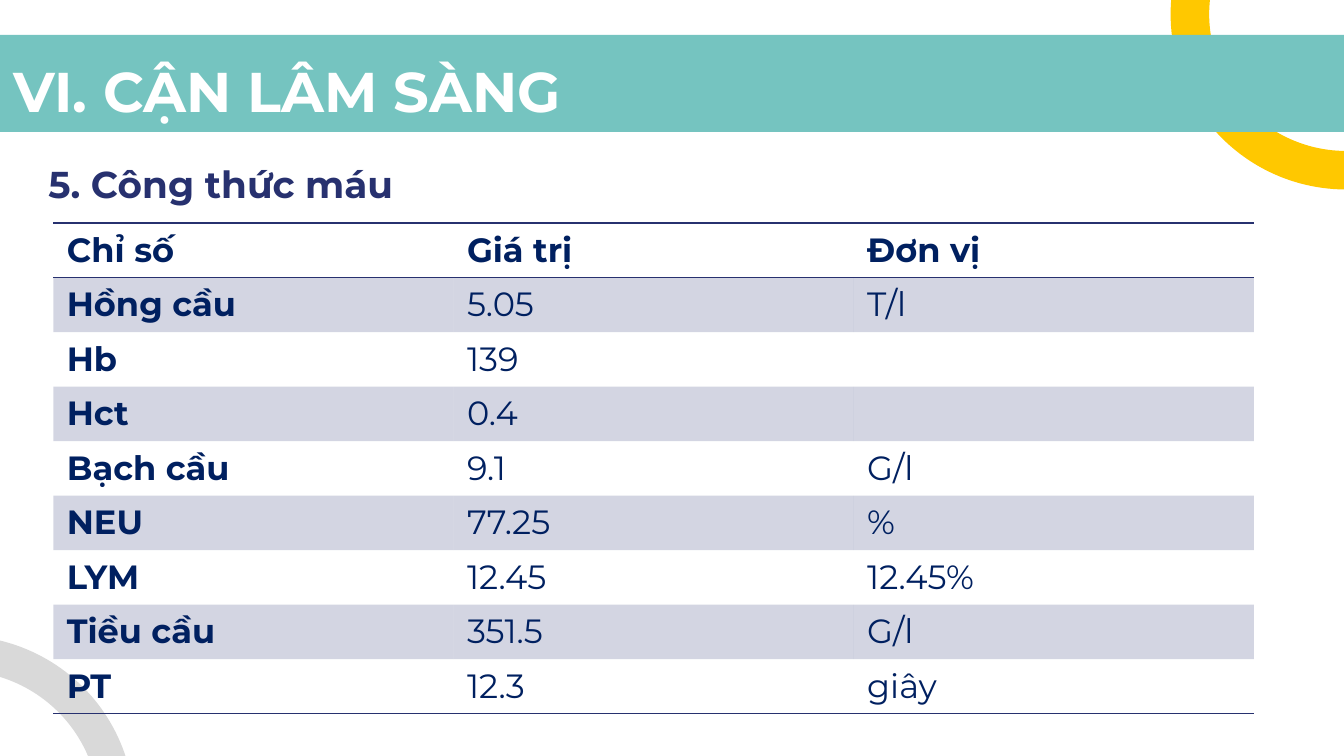
"""Build a slide with a blood count table under a banner title."""
from dataclasses import dataclass

from lxml.etree import SubElement
from pptx import Presentation
from pptx.dml.color import RGBColor
from pptx.enum.shapes import MSO_SHAPE as Preset
from pptx.enum.text import MSO_ANCHOR as Anchor, MSO_AUTO_SIZE as AutoSize, PP_ALIGN as Align
from pptx.oxml.ns import qn
from pptx.util import Pt

WHITE = RGBColor(0xFF, 0xFF, 0xFF)
TEAL = RGBColor(0x75, 0xC4, 0xC0)
YELLOW = RGBColor(0xFF, 0xC8, 0x00)
GRAY = RGBColor(0xD9, 0xD9, 0xD9)
INDIGO = RGBColor(0x27, 0x31, 0x6F)
NAVY = RGBColor(0x00, 0x20, 0x60)
FONT = "Montserrat"
PLAIN_TABLE_STYLE = "{2D5ABB26-0587-4C30-8999-92F81FD0307C}"
ROW_HEIGHT = 29.2
COLUMN_WIDTH = 214.4


@dataclass(frozen=True)
class Box:
    left: float
    top: float
    width: float
    height: float

    def lengths(self) -> tuple:
        return Pt(self.left), Pt(self.top), Pt(self.width), Pt(self.height)


@dataclass(frozen=True)
class Decoration:
    preset: Preset
    box: Box
    color: RGBColor
    rotation: float = 0
    adjustments: tuple = ()


@dataclass(frozen=True)
class Reading:
    name: str
    value: str
    unit: str = ""

    def texts(self) -> tuple:
        return self.name, self.value, self.unit


DECORATIONS = (
    Decoration(Preset.BLOCK_ARC, Box(627.1, -86.4, 187.9, 187.9), YELLOW, 270, (108.21, 165.56, 0.11)),
    Decoration(Preset.RECTANGLE, Box(-12.2, 18.7, 744.5, 51.9), TEAL),
    Decoration(Preset.BLOCK_ARC, Box(-115.9, 340.6, 187.9, 187.9), GRAY, 345, (175.07, 215.56, 0.1)),
)

READINGS = (
    Reading("Chỉ số", "Giá trị", "Đơn vị"),
    Reading("Hồng cầu", "5.05", "T/l"),
    Reading("Hb", "139"),
    Reading("Hct", "0.4"),
    Reading("Bạch cầu", "9.1", "G/l"),
    Reading("NEU", "77.25", "%"),
    Reading("LYM", "12.45", "12.45%"),
    Reading("Tiều cầu", "351.5", "G/l"),
    Reading("PT", "12.3", "giây"),
)


def write_text(frame, text: str, *, size: float, color: RGBColor, bold: bool = True) -> None:
    run = frame.paragraphs[0].add_run()
    run.text = text
    run.font.name = FONT
    run.font.size = Pt(size)
    run.font.bold = bold
    run.font.color.rgb = color


def add_decoration(slide, decoration: Decoration) -> None:
    shape = slide.shapes.add_shape(decoration.preset, *decoration.box.lengths())
    shape.rotation = decoration.rotation
    shape.shadow.inherit = False
    shape.fill.solid()
    shape.fill.fore_color.rgb = decoration.color
    shape.line.fill.background()
    for index, value in enumerate(decoration.adjustments):
        shape.adjustments[index] = value
    slide.shapes.title.element.addprevious(shape.element)


def fill_placeholder(placeholder, box: Box, text: str, *, size: float, color: RGBColor, spacing: float) -> None:
    placeholder.left, placeholder.top, placeholder.width, placeholder.height = box.lengths()
    frame = placeholder.text_frame
    frame.word_wrap = True
    frame.auto_size = AutoSize.NONE
    frame.vertical_anchor = Anchor.TOP
    frame.margin_left = frame.margin_top = frame.margin_right = frame.margin_bottom = Pt(7.2)
    write_text(frame, text, size=size, color=color)
    paragraph = frame.paragraphs[0]
    paragraph.alignment = Align.LEFT
    paragraph.line_spacing = spacing
    paragraph.space_before = Pt(0)
    properties = paragraph.runs[0].font and paragraph.alignment is not None and paragraph._p.get_or_add_pPr()
    properties.set("marL", "0")
    properties.set("indent", "0")
    SubElement(properties, qn("a:buNone"))


def add_border(cell, side: str) -> None:
    line = SubElement(cell._tc.get_or_add_tcPr(), qn(f"a:{side}"), w=str(Pt(1)))
    fill = SubElement(line, qn("a:solidFill"))
    SubElement(fill, qn("a:srgbClr"), val=str(INDIGO))


def shade(cell, opacity: int) -> None:
    cell.fill.solid()
    cell.fill.fore_color.rgb = INDIGO
    color = cell._tc.find(".//" + qn("a:tcPr") + "/" + qn("a:solidFill") + "/" + qn("a:srgbClr"))
    SubElement(color, qn("a:alpha"), val=str(opacity * 1000))


def add_readings_table(slide, left: float, top: float) -> None:
    box = Box(left, top, 3 * COLUMN_WIDTH, len(READINGS) * ROW_HEIGHT)
    table = slide.shapes.add_table(len(READINGS), 3, *box.lengths()).table
    table._tbl.find(".//" + qn("a:tableStyleId")).text = PLAIN_TABLE_STYLE
    table.first_row = table.horz_banding = False
    for row_index, reading in enumerate(READINGS):
        is_header = row_index == 0
        for column_index, text in enumerate(reading.texts()):
            cell = table.cell(row_index, column_index)
            if text:
                write_text(cell.text_frame, text, size=18, color=NAVY, bold=is_header or column_index == 0)
            if is_header:
                add_border(cell, "lnT")
            if is_header or row_index == len(READINGS) - 1:
                add_border(cell, "lnB")
            if row_index % 2:
                shade(cell, 20)
            else:
                cell.fill.background()


def main() -> None:
    presentation = Presentation()
    presentation.slide_width, presentation.slide_height = Pt(720), Pt(405)
    slide = presentation.slides.add_slide(presentation.slide_layouts[1])
    for decoration in DECORATIONS:
        add_decoration(slide, decoration)
    fill_placeholder(slide.shapes.title, Box(0, 23, 609, 45.4), "VI. CẬN LÂM SÀNG",
                     size=30, color=WHITE, spacing=1)
    fill_placeholder(slide.placeholders[1], Box(18.7, 75.6, 653, 298.8), "5. Công thức máu",
                     size=20, color=INDIGO, spacing=1.15)
    add_readings_table(slide, 28.6, 119.5)
    presentation.save("out.pptx")


if __name__ == "__main__":
    main()
